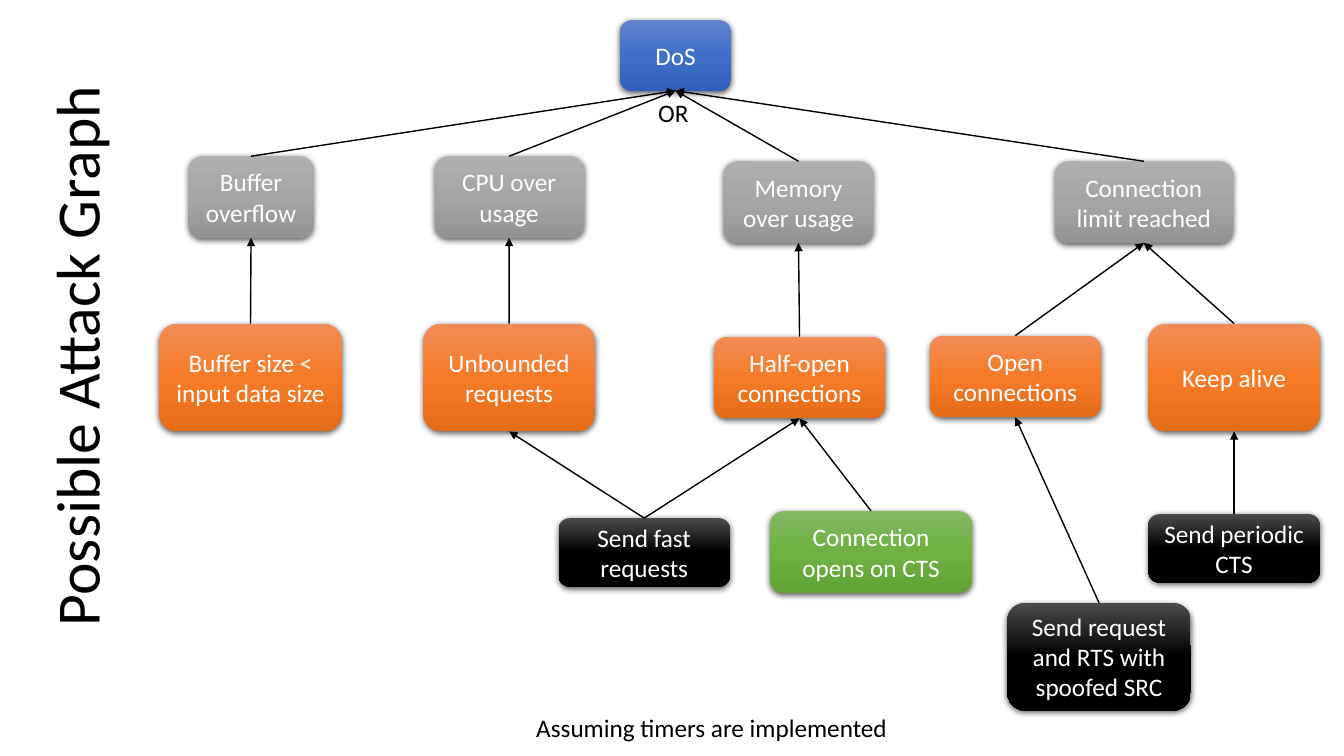
"""Build the slide that shows a denial-of-service attack graph."""
from dataclasses import dataclass

from lxml.etree import SubElement
from pptx import Presentation
from pptx.dml.color import RGBColor
from pptx.enum.shapes import MSO_CONNECTOR, MSO_SHAPE
from pptx.enum.text import MSO_ANCHOR, PP_ALIGN
from pptx.oxml import parse_xml
from pptx.oxml.ns import nsdecls, qn
from pptx.util import Inches, Pt


@dataclass(frozen=True)
class Theme:
    font: str = "Calibri"
    title_size: int = 44
    body_size: int = 18
    dark: str = "000000"
    light: str = "FFFFFF"
    goal: tuple = ("6183CB", "3E70CA", "3062BB")
    effect: tuple = ("AFAFAF", "A5A5A5", "939393")
    cause: tuple = ("F18C57", "F67B28", "E56C19")
    action: tuple = ("4B4B4B", "000000", "000000")
    condition: tuple = ("81B861", "6FB242", "62A336")


theme = Theme()


def write_text(shape, text, size, color, alignment, anchor, wrap):
    text_frame = shape.text_frame
    text_frame.text = text
    text_frame.word_wrap = wrap
    text_frame.vertical_anchor = anchor
    paragraph = text_frame.paragraphs[0]
    paragraph.alignment = alignment
    font = paragraph.runs[0].font
    font.name = theme.font
    font.size = Pt(size)
    font.color.rgb = RGBColor.from_string(color)


def style_box(shape, colors):
    stops = "".join(
        f'<a:gs pos="{position}"><a:srgbClr val="{color}"/></a:gs>'
        for position, color in zip((0, 50000, 100000), colors)
    )
    shape._element.spPr.append(parse_xml(
        f'<a:gradFill {nsdecls("a")} rotWithShape="1"><a:gsLst>{stops}</a:gsLst>'
        '<a:lin ang="5400000" scaled="0"/></a:gradFill>'
    ))
    shape.line.fill.background()
    shape.shadow.inherit = False
    effects = shape._element.spPr.find(qn("a:effectLst"))
    effects.append(parse_xml(
        f'<a:outerShdw {nsdecls("a")} blurRad="{Pt(4.5)}" dist="{Pt(1.5)}" '
        'dir="5400000" algn="ctr" rotWithShape="0">'
        f'<a:srgbClr val="{theme.dark}"><a:alpha val="63000"/></a:srgbClr></a:outerShdw>'
    ))


presentation = Presentation()
presentation.slide_width = Inches(13.33)
presentation.slide_height = Inches(7.5)
slide = presentation.slides.add_slide(presentation.slide_layouts[6])

title = slide.shapes.add_textbox(Inches(-2.03), Inches(2.75), Inches(5.64), Inches(1.48))
title.rotation = 270
write_text(title, "Possible Attack Graph", theme.title_size, theme.dark,
           PP_ALIGN.LEFT, MSO_ANCHOR.MIDDLE, True)
title.text_frame.paragraphs[0].line_spacing = 0.9

nodes = {
    "goal": ("DoS", theme.goal, 6.15, 0.2, 1.1, 0.7),
    "overflow": ("Buffer overflow", theme.effect, 1.87, 1.55, 1.24, 0.81),
    "cpu": ("CPU over usage", theme.effect, 4.31, 1.55, 1.48, 0.81),
    "memory": ("Memory over usage", theme.effect, 7.18, 1.6, 1.48, 0.81),
    "limit": ("Connection limit reached", theme.effect, 10.46, 1.6, 1.77, 0.81),
    "buffer size": ("Buffer size < input data size", theme.cause, 1.58, 3.21, 1.81, 1.07),
    "unbounded": ("Unbounded requests", theme.cause, 4.2, 3.21, 1.7, 1.07),
    "half-open": ("Half-open connections", theme.cause, 7.08, 3.34, 1.7, 0.81),
    "open": ("Open connections", theme.cause, 9.22, 3.33, 1.7, 0.81),
    "keep alive": ("Keep alive", theme.cause, 11.39, 3.21, 1.7, 1.07),
    "fast": ("Send fast requests", theme.action, 5.54, 5.14, 1.7, 0.68),
    "opens on CTS": ("Connection opens on CTS", theme.condition, 7.64, 5.07, 2, 0.81),
    "periodic": ("Send periodic CTS", theme.action, 11.39, 5.1, 1.7, 0.68),
    "spoofed": ("Send request and RTS with spoofed SRC", theme.action, 9.99, 5.98, 1.82, 1.07),
}
boxes = {}
for name, (text, colors, *bounds) in nodes.items():
    box = slide.shapes.add_shape(MSO_SHAPE.ROUNDED_RECTANGLE, *map(Inches, bounds))
    style_box(box, colors)
    write_text(box, text, theme.body_size, theme.light,
               PP_ALIGN.CENTER, MSO_ANCHOR.MIDDLE, True)
    boxes[name] = box

children = {
    "goal": ("overflow", "cpu", "memory", "limit"),
    "overflow": ("buffer size",),
    "cpu": ("unbounded",),
    "memory": ("half-open",),
    "limit": ("open", "keep alive"),
    "unbounded": ("fast",),
    "half-open": ("fast", "opens on CTS"),
    "open": ("spoofed",),
    "keep alive": ("periodic",),
}
for parent, names in children.items():
    for child in names:
        arrow = slide.shapes.add_connector(MSO_CONNECTOR.STRAIGHT, 0, 0, 0, 0)
        arrow.begin_connect(boxes[child], 0)
        arrow.end_connect(boxes[parent], 2)
        arrow.line.width = Pt(1)
        arrow.line.color.rgb = RGBColor.from_string(theme.dark)
        SubElement(arrow.line._get_or_add_ln(), qn("a:tailEnd"), type="triangle")
        SubElement(arrow._element.spPr, qn("a:effectLst"))

labels = (
    ("OR", 6.43, 0.92, 0.51, 0.4),
    ("Assuming timers are implemented", 5.22, 7.02, 3.72, 0.4),
)
for text, *bounds in labels:
    label = slide.shapes.add_textbox(*map(Inches, bounds))
    write_text(label, text, theme.body_size, theme.dark,
               PP_ALIGN.LEFT, MSO_ANCHOR.TOP, False)

presentation.save("out.pptx")
